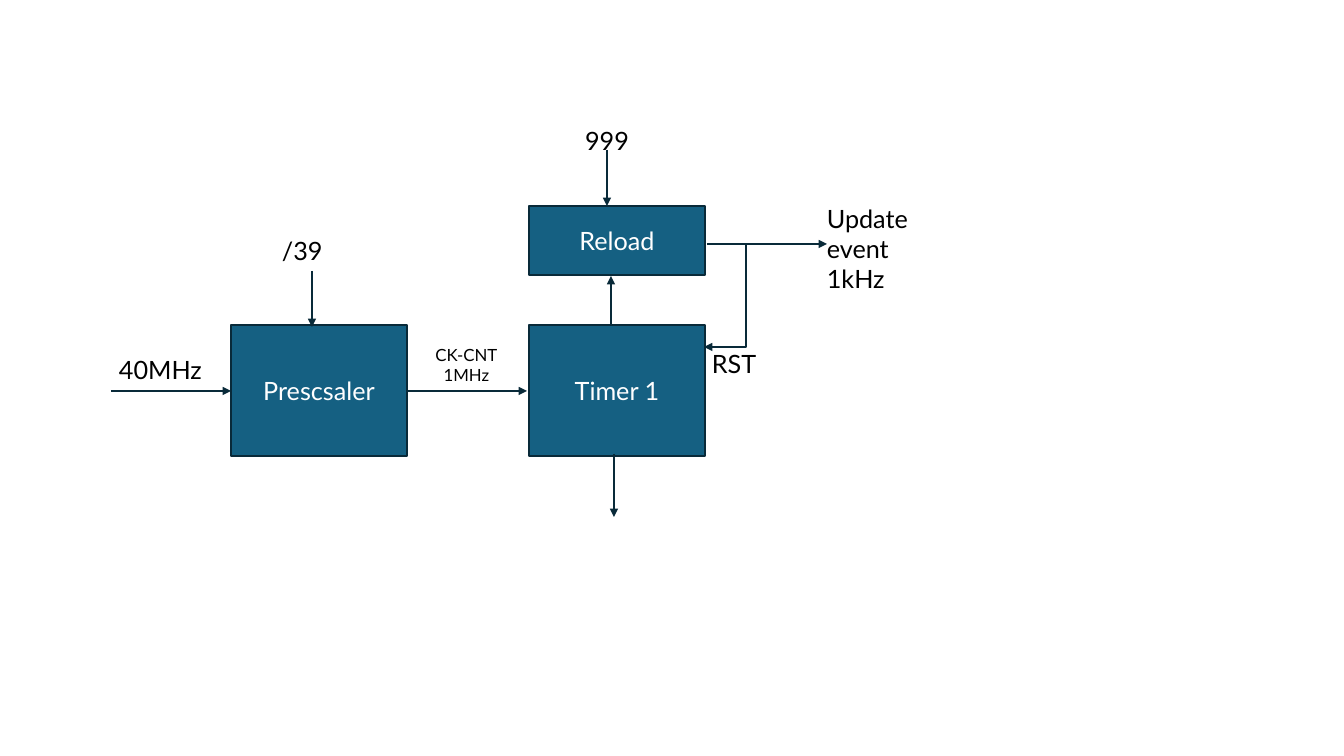
"""Build the timer block diagram slide: prescaler, timer, reload and update event."""
from pptx import Presentation
from pptx.dml.color import RGBColor
from pptx.enum import shapes, text
from pptx.oxml import ns
from pptx.util import Pt
from lxml import etree

PX = 914400 / 100.8
THEME = {
    "font": "Lato",
    "size": 18,
    "small": 12,
    "box": RGBColor(0x15, 0x60, 0x82),
    "line": RGBColor(0x09, 0x2A, 0x39),
    "line_width": 1.5,
    "dark": RGBColor(0, 0, 0),
    "light": RGBColor(255, 255, 255),
}


def px(*lengths):
    return [round(n * PX) for n in lengths]


def write(sp, content, size=THEME["size"], color=THEME["dark"],
          align=text.PP_ALIGN.LEFT, anchor=text.MSO_ANCHOR.TOP):
    tf = sp.text_frame
    tf.word_wrap = True
    tf.vertical_anchor = anchor
    tf.text = content
    for p in tf.paragraphs:
        p.alignment = align
        for r in p.runs:
            r.font.name = THEME["font"]
            r.font.size = Pt(size)
            r.font.color.rgb = color


prs = Presentation()
prs.slide_width, prs.slide_height = px(1344, 756)
s = prs.slides.add_slide(prs.slide_layouts[6])

CENTER = text.PP_ALIGN.CENTER
BOX_W = 176
PRESCALER_X, TIMER_X = 231, 529
BLOCK_Y, BLOCK_H = 325, 131
RELOAD_Y, RELOAD_H = 206, 69
CLOCK_Y, UPDATE_Y, RESET_Y = 391, 244, 347
RESET_X = 746

blocks = [
    ("Prescsaler", PRESCALER_X, BLOCK_Y, BLOCK_H),
    ("Timer 1", TIMER_X, BLOCK_Y, BLOCK_H),
    ("Reload", TIMER_X, RELOAD_Y, RELOAD_H),
]
for name, x, y, h in blocks:
    sp = s.shapes.add_shape(shapes.MSO_SHAPE.RECTANGLE, *px(x, y, BOX_W, h))
    sp.shadow.inherit = False
    sp.fill.solid()
    sp.fill.fore_color.rgb = THEME["box"]
    sp.line.color.rgb = THEME["line"]
    sp.line.width = Pt(THEME["line_width"])
    write(sp, name, color=THEME["light"], align=CENTER,
          anchor=text.MSO_ANCHOR.MIDDLE)

straight = [
    (111, CLOCK_Y, PRESCALER_X, CLOCK_Y),
    (407, CLOCK_Y, 527, CLOCK_Y),
    (312, 271, 312, 327),
    (611, 326, 611, 276),
    (707, UPDATE_Y, 827, UPDATE_Y),
    (607, 150, 607, RELOAD_Y),
    (614, 454, 614, 517),
]
arrows = [s.shapes.add_connector(shapes.MSO_CONNECTOR.STRAIGHT, *px(*ends))
          for ends in straight]

path_builder = s.shapes.build_freeform(RESET_X, UPDATE_Y, scale=PX)
path_builder.add_line_segments([(RESET_X, RESET_Y), (704, RESET_Y)], close=False)
reset = path_builder.convert_to_shape()
reset.fill.background()
arrows.append(reset)

for sp in arrows:
    sp.line.color.rgb = THEME["line"]
    sp.line.width = Pt(THEME["line_width"])
    spPr = sp._element.spPr
    ln = spPr.find(ns.qn("a:ln"))
    etree.SubElement(ln, ns.qn("a:tailEnd"), type="triangle")
    etree.SubElement(spPr, ns.qn("a:effectLst"))

labels = [
    ("40MHz", (109, 349, 160, 40), {}),
    ("/39", (272, 230, 98, 40), {}),
    ("CK-CNT\n1MHz", (418, 340, 97, 50), {"size": THEME["small"], "align": CENTER}),
    ("RST", (702, 343, 72, 40), {}),
    ("999", (558, 120, 98, 40), {"align": CENTER}),
    ("Update event\n1kHz", (817, 198, 127, 102), {}),
]
for content, place, style in labels:
    sp = s.shapes.add_textbox(*px(*place))
    write(sp, content, **style)
    sp.text_frame.auto_size = text.MSO_AUTO_SIZE.SHAPE_TO_FIT_TEXT

prs.save("out.pptx")
